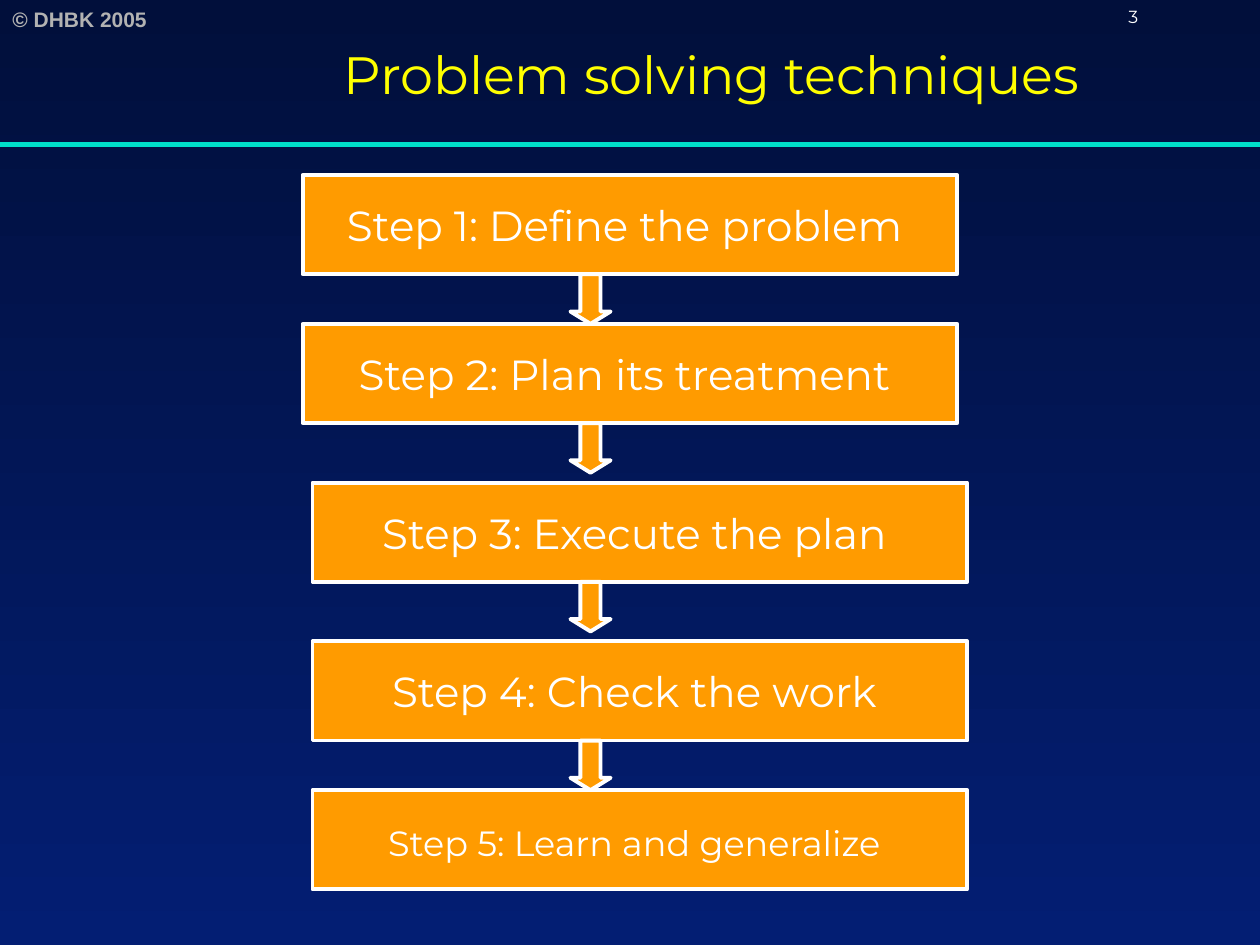
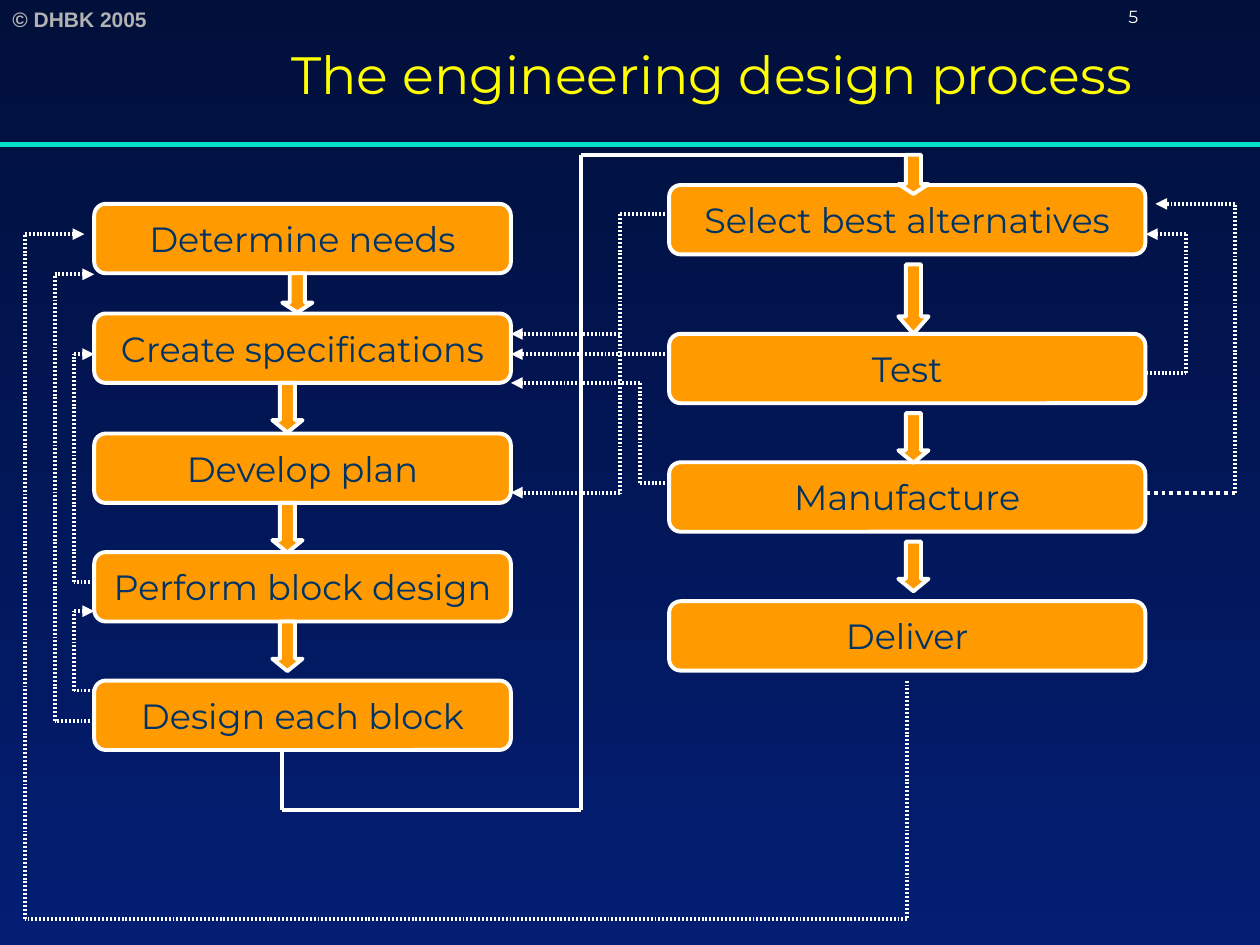
from dataclasses import dataclass
from itertools import pairwise

from lxml import etree
from pptx import Presentation
from pptx.dml.color import RGBColor
from pptx.enum.shapes import MSO_CONNECTOR, MSO_SHAPE
from pptx.enum.text import MSO_ANCHOR, PP_ALIGN
from pptx.oxml.ns import qn
from pptx.util import Cm, Pt

RECT = MSO_SHAPE.RECTANGLE
ROUND = MSO_SHAPE.ROUNDED_RECTANGLE
DOWN = MSO_SHAPE.DOWN_ARROW
LINE = MSO_CONNECTOR.STRAIGHT
TOP, MIDDLE = MSO_ANCHOR.TOP, MSO_ANCHOR.MIDDLE
LEFT, CENTER = PP_ALIGN.LEFT, PP_ALIGN.CENTER

# All places and lengths below are in centimetres.
WIDE, HIGH = 25.4, 19.05
OWNER = "© DHBK 2005"

STEPS = {
    "title": "Problem solving techniques",
    "number": "3",
    # left, top, runs of (text, style)
    "boxes": [
        (6.1, 3.53, [("Step 1: Define the problem ", "step")]),
        (6.1, 6.53, [("Step 2: Plan its treatment ", "step")]),
        (6.3, 9.73, [("Step 3: Execute the plan ", "step")]),
        (6.3, 12.93, [("Step 4: Check the work ", "step")]),
        (6.3, 15.93, [("Step 5: Learn and generalize", "last"), (" ", "step")]),
    ],
    "size": (13.2, 2),
    "arrow": (11.5, 0.81, 1),
}

PROCESS = {
    "title": "The engineering design process",
    "number": "5",
    "columns": [
        {
            "left": 1.9, "width": 8.4, "gap": 0,
            # label, top, then left and length of the arrow below
            "boxes": [
                ("Determine needs", 4.11, (5.69, 0.79)),
                ("Create specifications", 6.32, (5.49, 1)),
                ("Develop plan", 8.74, (5.49, 1)),
                ("Perform block design", 11.13, (5.49, 1)),
                ("Design each block", 13.72, None),
            ],
        },
        {
            "left": 13.49, "width": 9.6, "gap": 0.2,
            "boxes": [
                ("Select best alternatives", 3.73, (18.11, 1.4)),
                ("Test", 6.73, (18.11, 1)),
                ("Manufacture", 9.32, (18.11, 1)),
                ("Deliver", 12.12, None),
            ],
        },
    ],
    "height": 1.4,
    "thick": 0.61,
    "entry": (18.11, 3.12, 0.61, 0.79),
    "flow": [(5.69, 15.11), (5.69, 16.33), (11.71, 16.33), (11.71, 3.12), (18.29, 3.12)],
    "stub": [(23.1, 9.93), (24.9, 9.93)],
    "loops": [
        [(23.1, 7.52), (23.9, 7.52), (23.9, 4.72), (23.1, 4.72)],
        [(24.9, 9.93), (24.9, 4.11), (23.29, 4.11)],
        [(18.29, 13.72), (18.29, 18.52), (0.5, 18.52), (0.5, 4.72), (1.7, 4.72)],
        [(1.9, 14.53), (1.1, 14.53), (1.1, 5.53), (1.9, 5.53)],
        [(1.9, 13.92), (1.5, 13.92), (1.5, 12.32), (1.9, 12.32)],
        [(1.9, 11.73), (1.5, 11.73), (1.5, 7.14), (1.9, 7.14)],
        [(13.49, 4.32), (12.5, 4.32), (12.5, 9.93), (10.3, 9.93)],
        [(12.5, 6.73), (10.3, 6.73)],
        [(13.49, 7.14), (10.3, 7.14)],
        [(13.49, 9.73), (12.9, 9.73), (12.9, 7.72), (10.3, 7.72)],
    ],
}


@dataclass(frozen=True)
class Theme:
    dark: str = "010F3B"
    blue: str = "031E73"
    band: str = "00DFCA"
    box: str = "FF9B00"
    edge: str = "FFFFFF"
    thin: float = 2.25
    thick: float = 3


THEME = Theme()
FACE = "Montserrat"
STYLES = {
    "owner": {"name": "Arial", "size": Pt(12), "bold": True, "color": "B2B2B2"},
    "title": {"name": FACE, "size": Pt(30), "color": "FFFF00"},
    "number": {"name": FACE, "size": Pt(10), "color": "FFFFFF"},
    "step": {"name": FACE, "size": Pt(24), "color": "FFFFFF"},
    "last": {"name": FACE, "size": Pt(20), "color": "FFFFFF"},
    "block": {"name": FACE, "size": Pt(20), "color": "003366"},
}


def paint(fill, color):
    fill.solid()
    fill.fore_color.rgb = RGBColor.from_string(color)


def write(shape, runs, align=LEFT, anchor=TOP, wrap=True):
    frame = shape.text_frame
    frame.word_wrap = wrap
    frame.vertical_anchor = anchor
    para = frame.paragraphs[0]
    para.alignment = align
    for text, style in runs:
        run = para.add_run()
        run.text = text
        for key, value in STYLES[style].items():
            if key == "color":
                run.font.color.rgb = RGBColor.from_string(value)
            else:
                setattr(run.font, key, value)


def label(slide, place, text, style, **form):
    box = slide.shapes.add_textbox(*map(Cm, place))
    write(box, [(text, style)], **form)


def draw(slide, kind, place):
    """Add an orange shape with a white edge."""
    shape = slide.shapes.add_shape(kind, *map(Cm, place))
    shape.shadow.inherit = False
    paint(shape.fill, THEME.box)
    paint(shape.line.fill, THEME.edge)
    shape.line.width = Pt(THEME.thin)
    return shape


def block(slide, kind, place, runs):
    write(draw(slide, kind, place), runs, CENTER, MIDDLE, False)


def arrow(slide, left, top, width, height):
    """Add a down arrow whose head takes a quarter of its height."""
    shape = draw(slide, DOWN, (left, top, width, height))
    shape.adjustments[1] = height / width / 4


def wire(slide, start, end, color=THEME.edge, width=THEME.thin, dash=None, head=False):
    line = slide.shapes.add_connector(LINE, *map(Cm, start + end))
    paint(line.line.fill, color)
    line.line.width = Pt(width)
    node = line.line._get_or_add_ln()
    if dash == "fine":
        stops = etree.SubElement(node, qn("a:custDash"))
        etree.SubElement(stops, qn("a:ds"), d="50000", sp="50000")
    elif dash:
        etree.SubElement(node, qn("a:prstDash"), val=dash)
    if head:
        etree.SubElement(node, qn("a:tailEnd"), type="triangle")
    etree.SubElement(line._element.spPr, qn("a:effectLst"))


def route(slide, points, dash=None, head=False):
    """Join the points with lines; only the last one may carry a head."""
    for start, end in pairwise(points):
        wire(slide, start, end, dash=dash, head=head and end == points[-1])


def begin(deck, data):
    """Add a slide with the shared background, band, title and number."""
    slide = deck.slides.add_slide(deck.slide_layouts[6])
    fill = slide.background.fill
    fill.gradient()
    fill.gradient_angle = 270
    for stop, color in zip(fill.gradient_stops, (THEME.dark, THEME.blue)):
        stop.color.rgb = RGBColor.from_string(color)
    for stop, spot in zip(fill.gradient_stops, (0, 1)):
        stop.position = spot
    label(slide, (0, 0, 3.68, 0.76), OWNER, "owner", wrap=False)
    wire(slide, (0, 2.92), (WIDE, 2.92), THEME.band, THEME.thick)
    label(slide, (3.3, 0, 22.1, 2.97), data["title"], "title", align=CENTER, anchor=MIDDLE)
    label(slide, (22.5, 0, 2.9, 0.64), data["number"], "number")
    return slide


def steps(deck, data):
    slide = begin(deck, data)
    width, height = data["size"]
    for left, top, runs in data["boxes"]:
        block(slide, RECT, (left, top, width, height), runs)
    left, thick, length = data["arrow"]
    for _, top, _ in data["boxes"][:-1]:
        arrow(slide, left, top + height, thick, length)


def process(deck, data):
    slide = begin(deck, data)
    height = data["height"]
    for col in data["columns"]:
        for text, top, _ in col["boxes"]:
            place = (col["left"], top, col["width"], height)
            block(slide, ROUND, place, [(text, "block")])
        for _, top, below in col["boxes"]:
            if below:
                left, length = below
                arrow(slide, left, top + height + col["gap"], data["thick"], length)
    route(slide, data["flow"])
    arrow(slide, *data["entry"])
    route(slide, data["stub"], "sysDot")
    for points in data["loops"]:
        route(slide, points, "fine", True)


def main():
    deck = Presentation()
    deck.slide_width, deck.slide_height = Cm(WIDE), Cm(HIGH)
    steps(deck, STEPS)
    process(deck, PROCESS)
    deck.save("out.pptx")


if __name__ == "__main__":
    main()
